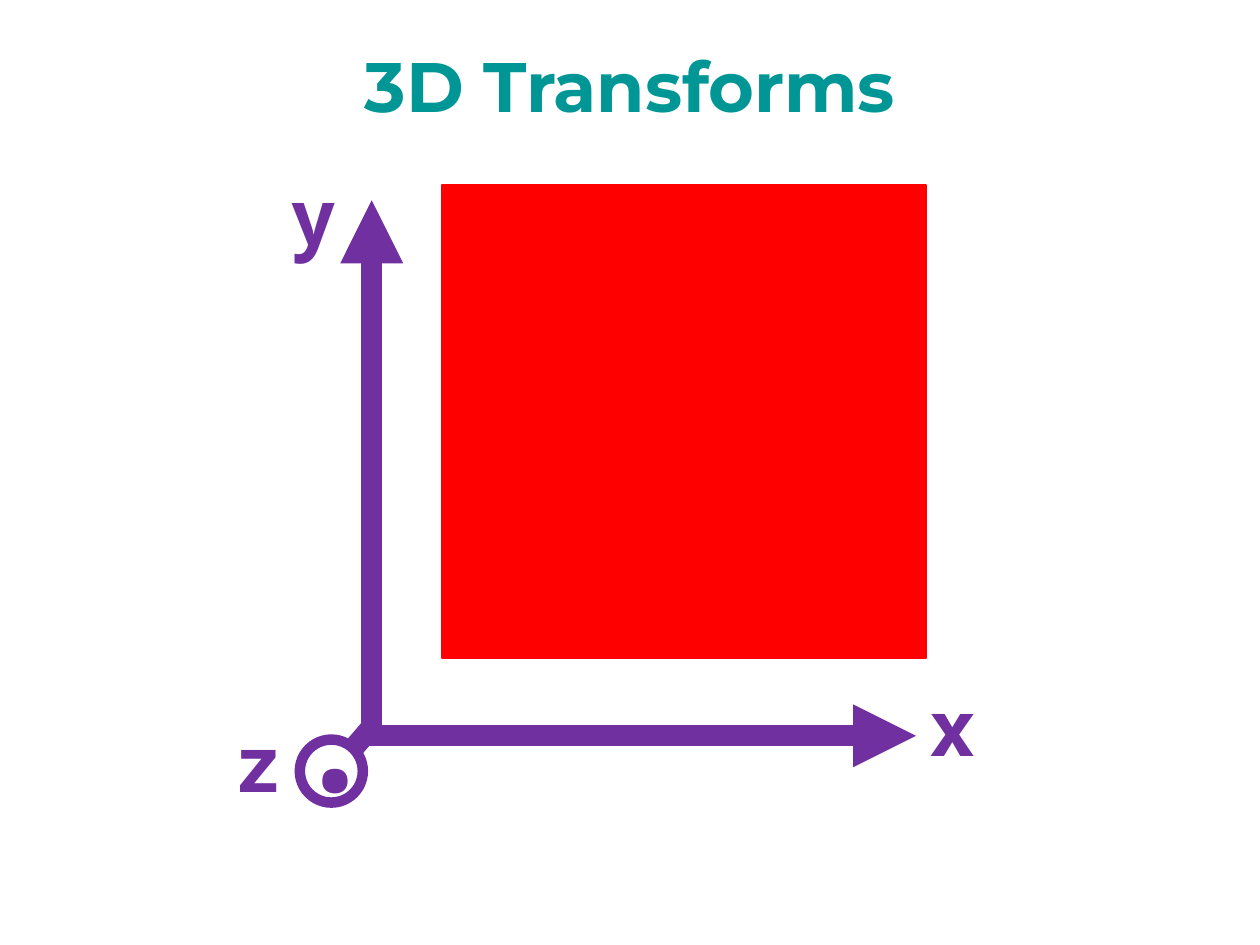
"""Build the 3D Transforms slide with its x, y and z axes."""
from lxml import etree
from pptx import Presentation
from pptx.dml.color import RGBColor
from pptx.enum.shapes import MSO_CONNECTOR, MSO_SHAPE
from pptx.enum.text import MSO_ANCHOR, PP_ALIGN
from pptx.oxml.ns import qn
from pptx.util import Inches, Pt

STRAIGHT = MSO_CONNECTOR.STRAIGHT
RECTANGLE, OVAL = MSO_SHAPE.RECTANGLE, MSO_SHAPE.OVAL
TOP, MIDDLE = MSO_ANCHOR.TOP, MSO_ANCHOR.MIDDLE
LEFT, CENTER = PP_ALIGN.LEFT, PP_ALIGN.CENTER

TEAL, RED, PURPLE, WHITE = "009696", "FF0000", "7030A0", "FFFFFF"
TITLE_FONT, AXIS_FONT = "Montserrat", "Noto Sans Mono"

TITLE = ("3D Transforms", (0, 0, 10, 1.43))
PLANE = (3.51, 1.47, 3.84, 3.75)
EYE = (2.38, 5.87, 0.5, 0.5)
X_AXIS = ((2.91, 5.84), (7.27, 5.84))
Y_AXIS = ((2.95, 5.84), (2.95, 1.59))
Z_AXIS = ((2.95, 5.77), (2.58, 6.2))
AXIS_LABELS = [
    ("y", (2.21, 1.29, 0.5, 0.86), 44),
    ("x", (7.28, 5.34, 0.7, 0.86), 44),
    (".", (2.23, 5.13, 0.36, 1.45), 80),
    ("z", (1.77, 5.63, 0.5, 0.86), 44),
]


def color(hex_string):
    return RGBColor.from_string(hex_string)


def inches(values):
    return [Inches(value) for value in values]


def add_text(slide, text, box, size, font_name, font_color, anchor=TOP, alignment=LEFT):
    text_frame = slide.shapes.add_textbox(*inches(box)).text_frame
    text_frame.word_wrap = True
    text_frame.vertical_anchor = anchor
    text_frame.text = text
    paragraph = text_frame.paragraphs[0]
    paragraph.alignment = alignment
    font = paragraph.runs[0].font
    font.name, font.size, font.bold = font_name, Pt(size), True
    font.color.rgb = color(font_color)
    return paragraph


def add_outlined_shape(slide, kind, box, fill_color, line_color, line_width):
    shape = slide.shapes.add_shape(kind, *inches(box))
    shape.shadow.inherit = False
    shape.fill.solid()
    shape.fill.fore_color.rgb = color(fill_color)
    shape.line.color.rgb = color(line_color)
    shape.line.width = Pt(line_width)


def add_axis(slide, start, end, arrow=True):
    connector = slide.shapes.add_connector(STRAIGHT, *inches(start + end))
    connector.line.color.rgb = color(PURPLE)
    connector.line.width = Pt(12)
    if arrow:
        line = connector.line._get_or_add_ln()
        etree.SubElement(line, qn("a:tailEnd"), type="triangle")
    etree.SubElement(connector._element.spPr, qn("a:effectLst"))


def main():
    presentation = Presentation()
    presentation.slide_width, presentation.slide_height = inches((10, 7.5))
    slide = presentation.slides.add_slide(presentation.slide_layouts[6])

    title = add_text(slide, *TITLE, 40, TITLE_FONT, TEAL, MIDDLE, CENTER)
    title.line_spacing = 0.9
    add_outlined_shape(slide, RECTANGLE, PLANE, RED, RED, 1)
    add_axis(slide, *X_AXIS)
    add_axis(slide, *Y_AXIS)
    add_axis(slide, *Z_AXIS, arrow=False)
    add_outlined_shape(slide, OVAL, EYE, WHITE, PURPLE, 6)
    for label, box, size in AXIS_LABELS:
        add_text(slide, label, box, size, AXIS_FONT, PURPLE)

    presentation.save("out.pptx")


if __name__ == "__main__":
    main()
